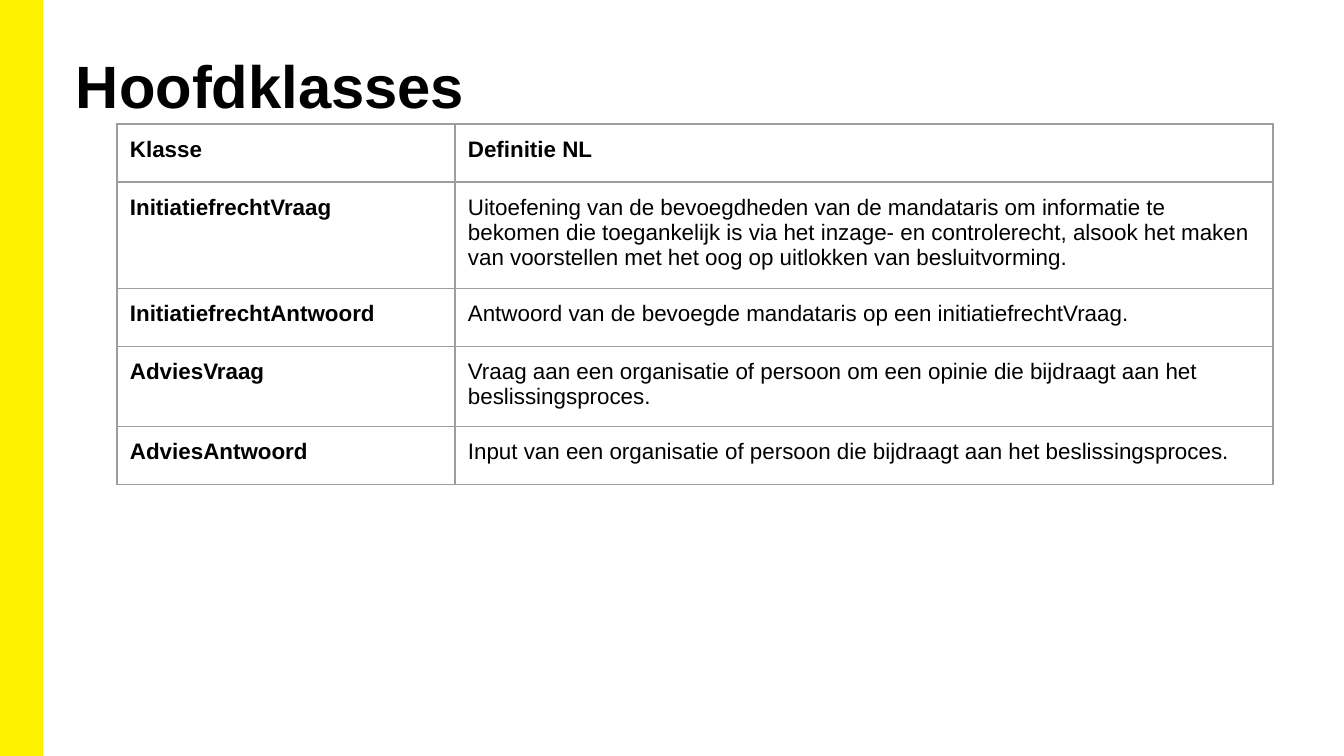
from lxml import etree
from pptx import Presentation
from pptx.dml.color import RGBColor
from pptx.enum.shapes import MSO_SHAPE
from pptx.enum.text import MSO_ANCHOR
from pptx.oxml.ns import qn
from pptx.util import Emu, Pt

PX_PER_INCH = 134.4
FONT = "Arial"
BLACK, WHITE, YELLOW, GREY = "000000", "FFFFFF", "FFF200", "9E9E9E"

ROWS = [
    ("Klasse", "Definitie NL"),
    ("InitiatiefrechtVraag",
     "Uitoefening van de bevoegdheden van de mandataris om informatie te "
     "bekomen die toegankelijk is via het inzage- en controlerecht, alsook het "
     "maken van voorstellen met het oog op uitlokken van besluitvorming."),
    ("InitiatiefrechtAntwoord",
     "Antwoord van de bevoegde mandataris op een initiatiefrechtVraag."),
    ("AdviesVraag",
     "Vraag aan een organisatie of persoon om een opinie die bijdraagt aan het "
     "beslissingsproces."),
    ("AdviesAntwoord",
     "Input van een organisatie of persoon die bijdraagt aan het "
     "beslissingsproces."),
]
COLUMN_WIDTHS = [338, 818]
ROW_HEIGHTS = [58, 104, 58, 78, 58]


def px(length):
    return Emu(round(length * 914400 / PX_PER_INCH))


def color(value):
    return RGBColor.from_string(value)


def set_margins(frame, left, top, right, bottom):
    frame.margin_left, frame.margin_top = px(left), px(top)
    frame.margin_right, frame.margin_bottom = px(right), px(bottom)


def set_font(paragraph, size, bold):
    font = paragraph.font
    font.name, font.size, font.bold = FONT, Pt(size), bold
    font.color.rgb = color(BLACK)


def set_borders(cell, value, width):
    properties = cell._tc.get_or_add_tcPr()
    for index, side in enumerate(("lnL", "lnR", "lnT", "lnB")):
        line = etree.Element(qn(f"a:{side}"), w=str(Pt(width)))
        fill = etree.SubElement(line, qn("a:solidFill"))
        etree.SubElement(fill, qn("a:srgbClr"), val=value)
        properties.insert(index, line)


def add_side_bar(slide, left, top, width, height):
    bar = slide.shapes.add_shape(
        MSO_SHAPE.RECTANGLE, px(left), px(top), px(width), px(height))
    bar.shadow.inherit = False
    bar.fill.solid()
    bar.fill.fore_color.rgb = color(YELLOW)
    bar.line.color.rgb = color(YELLOW)
    bar.line.width = Pt(1)


def add_title(slide, left, top, width, height):
    title = slide.shapes.add_textbox(px(left), px(top), px(width), px(height))
    frame = title.text_frame
    frame.word_wrap = True
    frame.vertical_anchor = MSO_ANCHOR.TOP
    set_margins(frame, 9, 10, 9, 5)
    frame.text = "Hoofdklasses"
    set_font(frame.paragraphs[0], 32, True)


def add_class_table(slide, left, top):
    table = slide.shapes.add_table(
        len(ROWS), len(COLUMN_WIDTHS), px(left), px(top),
        px(sum(COLUMN_WIDTHS)), px(sum(ROW_HEIGHTS))).table
    for column, width in zip(table.columns, COLUMN_WIDTHS):
        column.width = px(width)
    for row, height in zip(table.rows, ROW_HEIGHTS):
        row.height = px(height)

    # Header row and class names are bold
    for row_index, texts in enumerate(ROWS):
        for column_index, text in enumerate(texts):
            cell = table.cell(row_index, column_index)
            cell.text = text
            set_margins(cell, 13, 13, 13, 13)
            cell.fill.solid()
            cell.fill.fore_color.rgb = color(WHITE)
            set_borders(cell, GREY, 0.75)
            set_font(cell.text_frame.paragraphs[0], 12,
                     row_index == 0 or column_index == 0)


def main():
    presentation = Presentation()
    presentation.slide_width, presentation.slide_height = px(1344), px(756)
    slide = presentation.slides.add_slide(presentation.slide_layouts[6])
    add_side_bar(slide, 0, 0, 42, 756)
    add_title(slide, 67, 39, 1206, 124)
    add_class_table(slide, 117, 124)
    presentation.save("out.pptx")


if __name__ == "__main__":
    main()
